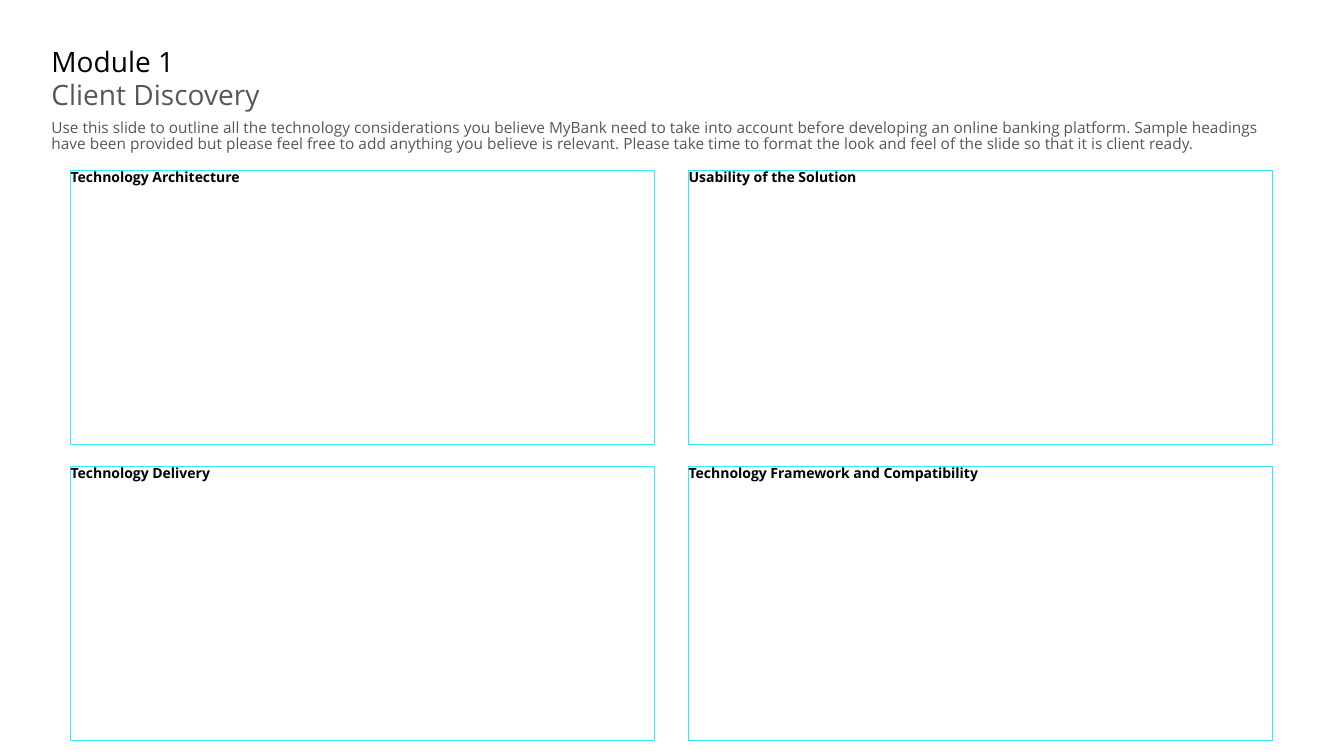
from pptx import Presentation
from pptx.dml.color import RGBColor
from pptx.enum.shapes import MSO_SHAPE
from pptx.enum.text import MSO_ANCHOR, PP_ALIGN
from pptx.util import Inches, Pt

RECTANGLE = MSO_SHAPE.RECTANGLE
TOP, MIDDLE = MSO_ANCHOR.TOP, MSO_ANCHOR.MIDDLE
LEFT = PP_ALIGN.LEFT

FONT = "Open Sans"
BLACK, GREY, CYAN = "000000", "575757", "32E9FF"
TITLE_ONLY = 5

# Two by two grid of topic boxes
BOX_LEFT, BOX_TOP = 0.7, 1.69
BOX_WIDTH, BOX_HEIGHT = 5.79, 2.72
COLUMN_STEP, ROW_STEP = 6.13, 2.94
TOPICS = [
    ["Technology Architecture", "Usability of the Solution"],
    ["Technology Delivery", "Technology Framework and Compatibility"],
]
INTRODUCTION = (
    "Use this slide to outline all the technology considerations you believe MyBank "
    "need to take into account before developing an online banking platform. Sample "
    "headings have been provided but please feel free to add anything you believe is "
    "relevant. Please take time to format the look and feel of the slide so that it "
    "is client ready."
)


def color(hex_string):
    return RGBColor.from_string(hex_string)


def write_text(shape, text, size, hex_color, bold=False, anchor=TOP):
    frame = shape.text_frame
    frame.word_wrap = True
    frame.vertical_anchor = anchor
    frame.margin_left = frame.margin_right = Inches(0)
    frame.margin_top = frame.margin_bottom = Inches(0)
    paragraph = frame.paragraphs[0]
    paragraph.alignment = LEFT
    paragraph.line_spacing = 0.9
    paragraph.space_before = Pt(0)
    run = paragraph.add_run()
    run.text = text
    run.font.name = FONT
    run.font.size = Pt(size)
    run.font.bold = bold
    run.font.color.rgb = color(hex_color)


def set_title(slide, text, left, top, width, height):
    title = slide.shapes.title
    title.left, title.top = Inches(left), Inches(top)
    title.width, title.height = Inches(width), Inches(height)
    write_text(title, text, 20, BLACK, anchor=MIDDLE)


def add_text(slide, text, left, top, width, height, size):
    box = slide.shapes.add_textbox(Inches(left), Inches(top), Inches(width), Inches(height))
    write_text(box, text, size, GREY)


def add_topic_box(slide, heading, left, top):
    box = slide.shapes.add_shape(
        RECTANGLE, Inches(left), Inches(top), Inches(BOX_WIDTH), Inches(BOX_HEIGHT))
    box.shadow.inherit = False
    box.fill.background()
    box.line.color.rgb = color(CYAN)
    box.line.width = Pt(0.75)
    write_text(box, heading, 10, BLACK, bold=True)


def main():
    presentation = Presentation()
    presentation.slide_width = Inches(13.33)
    presentation.slide_height = Inches(7.5)
    slide = presentation.slides.add_slide(presentation.slide_layouts[TITLE_ONLY])

    # Heading block
    set_title(slide, "Module 1", 0.51, 0.44, 10.02, 0.37)
    add_text(slide, "Client Discovery", 0.51, 0.81, 10.02, 0.41, 20)
    add_text(slide, INTRODUCTION, 0.51, 1.19, 12.32, 0.44, 11)

    # Topic boxes
    for row, headings in enumerate(TOPICS):
        for column, heading in enumerate(headings):
            add_topic_box(slide, heading,
                          BOX_LEFT + column * COLUMN_STEP, BOX_TOP + row * ROW_STEP)

    presentation.save("out.pptx")


if __name__ == "__main__":
    main()
